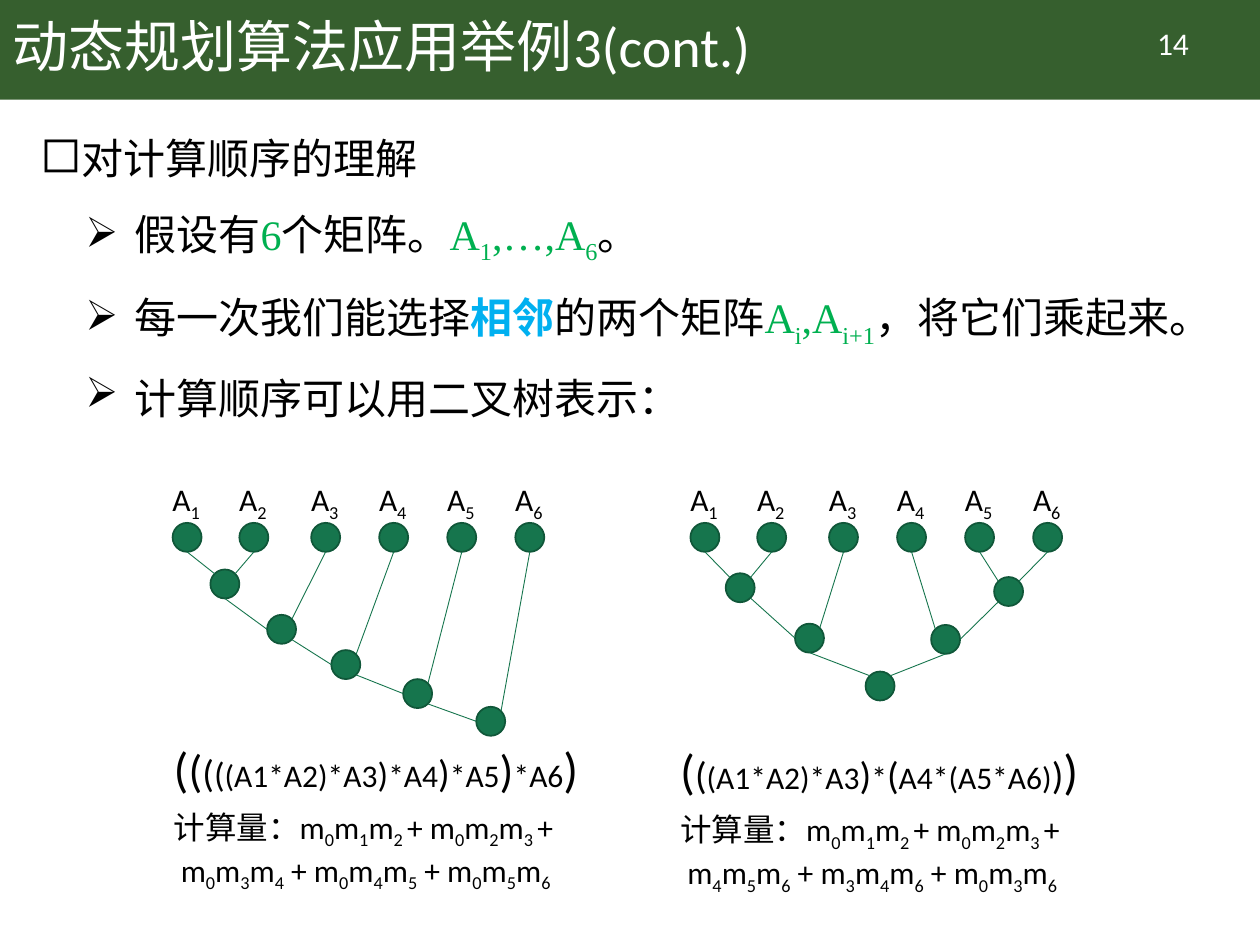
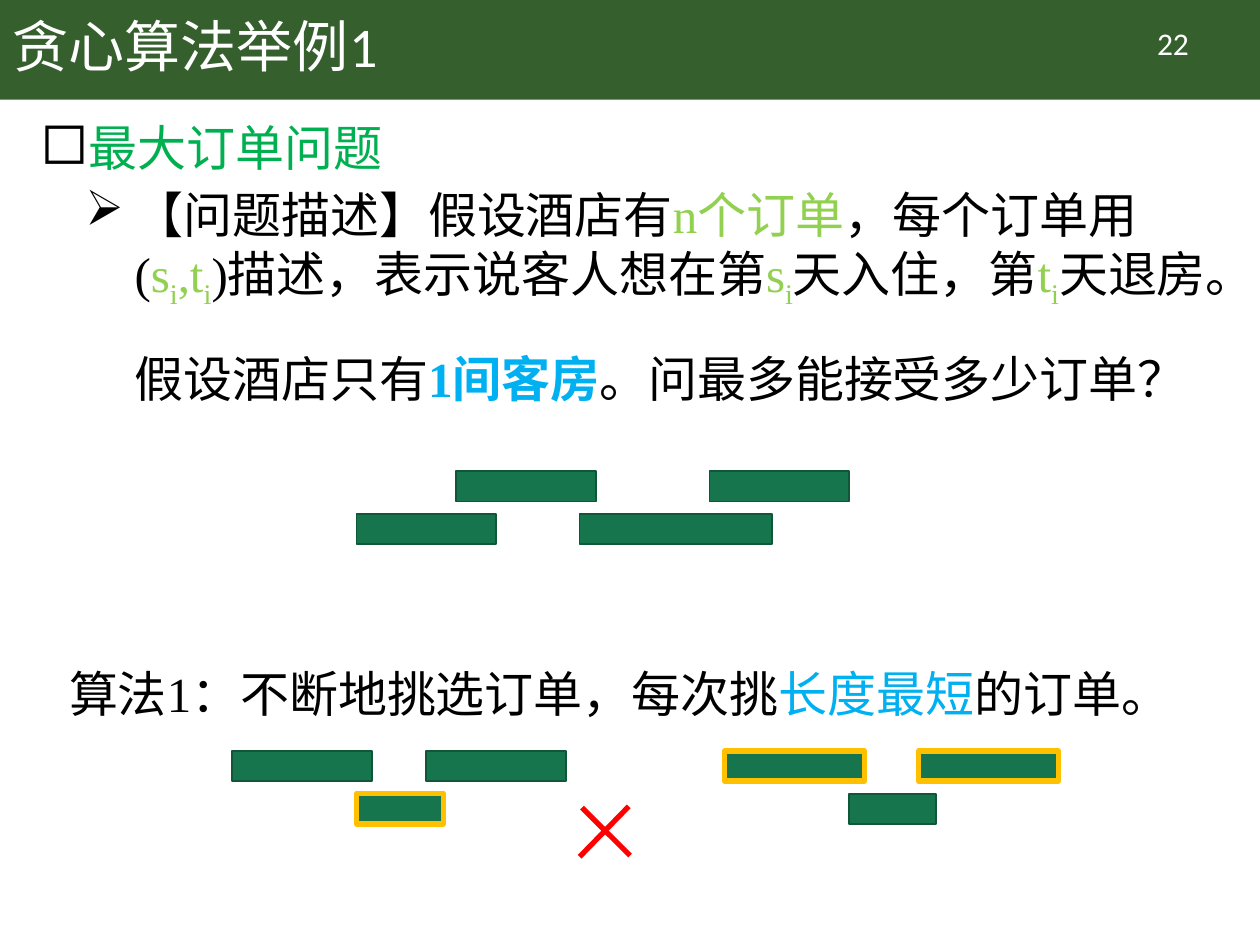
"""Build two lecture slides on matrix-chain order and the greedy booking problem."""
from lxml.etree import SubElement
from pptx import Presentation
from pptx.dml.color import RGBColor
from pptx.enum.shapes import MSO_CONNECTOR, MSO_SHAPE
from pptx.enum.text import MSO_ANCHOR, MSO_AUTO_SIZE, PP_ALIGN
from pptx.oxml.ns import qn
from pptx.util import Inches, Pt

BAND = RGBColor(0x36, 0x5F, 0x2E)
FILL = RGBColor(0x16, 0x75, 0x4D)
OUTLINE = RGBColor(0x10, 0x57, 0x39)
CHOSEN = RGBColor(0xFF, 0xC0, 0x00)
RED = RGBColor(0xFF, 0x00, 0x00)
BLACK = RGBColor(0x00, 0x00, 0x00)
WHITE = RGBColor(0xFF, 0xFF, 0xFF)
SYMBOL = {"color": RGBColor(0x00, 0xB0, 0x50)}
VARIABLE = {"color": RGBColor(0x92, 0xD0, 0x50)}
ACCENT = {"color": RGBColor(0x00, 0xB0, 0xF0)}
STRONG = {**ACCENT, "bold": True}

SANS = {"name": "Calibri", "size": Pt(18), "color": BLACK}
SERIF = {"name": "Times New Roman", "size": Pt(28), "color": BLACK}
TITLE = {"name": "Calibri", "size": Pt(32), "color": WHITE}

TOPIC = {"char": "◻", "margin": 0.25, "percent": 120}
POINT = {"char": "➢", "margin": 0.75, "percent": 100}
HANGING = -0.39

NODE = 0.23
LEAF_TOP = 4.15
LEAF_OFFSETS = (0, 0.53, 1.1, 1.64, 2.18, 2.72)
DIAGONAL = 0.71
SITES = {
    "B": (0, 1), "L": (-1, 0), "R": (1, 0),
    "TL": (-DIAGONAL, -DIAGONAL), "TR": (DIAGONAL, -DIAGONAL),
    "BL": (-DIAGONAL, DIAGONAL), "BR": (DIAGONAL, DIAGONAL),
}
BAR_HEIGHT = 0.24


class Deck:
    """Hold the shared style and the slide being drawn."""

    def __init__(self):
        self.presentation = Presentation()
        self.presentation.slide_width = Inches(10)
        self.presentation.slide_height = Inches(7.5)
        self.slide = None
        self.canvas = None

    def start_slide(self, heading, number):
        """Add a slide with its band, title and page number."""
        self.slide = self.presentation.slides.add_slide(self.presentation.slide_layouts[5])
        self.ungroup()
        title = self.slide.shapes.title
        band = self.shape(MSO_SHAPE.RECTANGLE, 0, 0, 10, 0.79, fill=BAND, line=None)
        title.element.addprevious(band.element)
        title.left, title.top, title.width, title.height = map(Inches, (0, 0, 8.62, 0.79))
        frame = title.text_frame
        frame.word_wrap = True
        frame.auto_size = MSO_AUTO_SIZE.NONE
        frame.vertical_anchor = MSO_ANCHOR.MIDDLE
        self.fill_paragraph(frame.paragraphs[0], [heading], TITLE,
                            alignment=PP_ALIGN.LEFT, line_spacing=0.9)
        page = [([str(number)], {"alignment": PP_ALIGN.CENTER})]
        self.text(8.71, 0.14, 1.2, 0.4, page, {**SANS, "color": WHITE})

    def group(self):
        """Draw the next elements into a new group."""
        self.canvas = self.slide.shapes.add_group_shape().shapes

    def ungroup(self):
        """Draw the next elements straight on the slide."""
        self.canvas = self.slide.shapes

    def shape(self, kind, left, top, width, height, fill=FILL, line=OUTLINE, weight=1):
        """Add a filled preset shape."""
        shape = self.canvas.add_shape(kind, *map(Inches, (left, top, width, height)))
        shape.shadow.inherit = False
        shape.fill.solid()
        shape.fill.fore_color.rgb = fill
        if line is None:
            shape.line.fill.background()
        else:
            shape.line.color.rgb = line
            shape.line.width = Pt(weight)
        return shape

    def bar(self, left, top, width, chosen=False):
        """Add a booking bar, framed when it is chosen."""
        frame = {"line": CHOSEN, "weight": 3} if chosen else {}
        self.shape(MSO_SHAPE.RECTANGLE, left, top, width, BAR_HEIGHT, **frame)

    def line(self, start, end, color=FILL, weight=0.5):
        """Add a straight line between two points."""
        line = self.canvas.add_connector(MSO_CONNECTOR.STRAIGHT, *map(Inches, (*start, *end)))
        line.line.color.rgb = color
        line.line.width = Pt(weight)
        SubElement(line.element.spPr, qn("a:effectLst"))

    def text(self, left, top, width, height, paragraphs, base):
        """Add a text box from (runs, paragraph format) pairs."""
        box = self.canvas.add_textbox(*map(Inches, (left, top, width, height)))
        frame = box.text_frame
        frame.word_wrap = True
        for index, (runs, layout) in enumerate(paragraphs):
            paragraph = frame.add_paragraph() if index else frame.paragraphs[0]
            self.fill_paragraph(paragraph, runs, base, **layout)

    def fill_paragraph(self, paragraph, runs, base, bullet=None, **layout):
        """Fill a paragraph; text between underscores is subscript."""
        if bullet:
            self.bullet(paragraph, **bullet)
        for key, value in layout.items():
            setattr(paragraph, key, value)
        for item in runs:
            if item == "\n":
                paragraph.add_line_break()
                continue
            content, style = (item, {}) if isinstance(item, str) else item
            for index, part in enumerate(content.split("_")):
                if part:
                    run = paragraph.add_run()
                    run.text = part
                    self.style_font(run.font, {**base, **style})
                    if index % 2:
                        run._r.get_or_add_rPr().set("baseline", "-25000")

    def style_font(self, font, values):
        """Apply a dict of font values."""
        for key, value in values.items():
            if key == "color":
                font.color.rgb = value
            else:
                setattr(font, key, value)

    def bullet(self, paragraph, char, margin, percent):
        """Give a paragraph a hanging bullet."""
        properties = paragraph._p.get_or_add_pPr()
        properties.set("marL", str(Inches(margin)))
        properties.set("indent", str(Inches(HANGING)))
        color = SubElement(properties, qn("a:buClr"))
        SubElement(color, qn("a:srgbClr"), val=str(BLACK))
        SubElement(properties, qn("a:buSzPct"), val=str(percent * 1000))
        SubElement(properties, qn("a:buChar"), char=char)

    def tree(self, left, joints, edges):
        """Draw six labelled leaves, the joints below them and the edges."""
        self.group()
        nodes = [(left + offset, LEAF_TOP) for offset in LEAF_OFFSETS]
        for number, (x, y) in enumerate(nodes, 1):
            self.text(x - 0.1, y - 0.39, 0.52, 0.4, [([f"A_{number}_"], {})], SANS)
        nodes += joints
        for x, y in nodes:
            self.shape(MSO_SHAPE.OVAL, x, y, NODE, NODE)
        for child, child_site, parent, parent_site in edges:
            self.line(site(nodes[child - 1], child_site), site(nodes[parent - 1], parent_site))
        self.ungroup()

    def cost(self, left, top, formula, last_line):
        """Put a bracketed product and its cost below a tree."""
        product = [(part, {"size": Pt(size)}) for part, size in formula]
        paragraphs = [
            (product, {}),
            (["计算量：m_0_m_1_m_2 _+ m_0_m_2_m_3 _+"], {"space_before": Pt(6)}),
            ([last_line], {}),
        ]
        self.text(left, top, 3.85, 1.26, paragraphs, SANS)


def site(node, name):
    """Return the point of a node's rim with the given name."""
    return tuple(start + NODE / 2 * (1 + step) for start, step in zip(node, SITES[name]))


def matrix_chain(deck):
    """Draw the slide on multiplication order."""
    deck.start_slide("动态规划算法应用举例3(cont.)", 14)
    point = {"bullet": POINT, "line_spacing": 1.3, "space_before": Pt(5)}
    understanding = [
        (["对计算顺序的理解"], {"bullet": TOPIC, "line_spacing": 1.3}),
        (["假设有", ("6", SYMBOL), "个矩阵。", ("A_1_,…,A_6_", SYMBOL), "。"], point),
        (["每一次我们能选择", ("相邻", STRONG), "的两个矩阵", ("A_i_,A_i+1_", SYMBOL),
          "，将它们乘起来。"], point),
        (["计算顺序可以用二叉树表示："], point),
    ]
    deck.text(0.22, 0.88, 9.57, 2.7, understanding, {**SERIF, "size": Pt(24)})

    deck.tree(
        1.37,
        [(1.67, 4.52), (2.12, 4.88), (2.63, 5.16), (3.2, 5.39), (3.78, 5.61)],
        [(1, "B", 7, "TL"), (2, "B", 7, "TR"), (7, "B", 8, "L"),
         *[(joint, "BR", joint + 1, "L") for joint in (8, 9, 10)],
         *[(leaf, "B", leaf + 5, "TR") for leaf in (3, 4, 5, 6)]],
    )
    deck.cost(
        1.28, 5.81,
        [("(", 28), ("(", 26), ("(", 22), ("(", 20), ("(A1*A2)*A3", 18), (")", 20),
         ("*A4", 18), (")", 22), ("*A5", 18), (")", 26), ("*A6", 18), (")", 28)],
        " m_0_m_3_m_4_ + m_0_m_4_m_5_ + m_0_m_5_m_6_",
    )
    deck.tree(
        5.48,
        [(5.76, 4.55), (6.31, 4.95), (7.89, 4.58), (7.39, 4.96), (6.87, 5.33)],
        [(1, "B", 7, "TL"), (2, "B", 7, "TR"), (3, "B", 8, "TR"), (7, "BR", 8, "L"),
         (6, "B", 9, "TR"), (5, "B", 9, "TL"), (4, "B", 10, "TL"), (10, "R", 9, "BL"),
         (8, "B", 11, "TL"), (11, "TR", 10, "B")],
    )
    deck.cost(
        5.3, 5.83,
        [("(", 28), ("(", 22), ("(A1*A2)*A3", 18), (")", 22), ("*", 18), ("(", 22),
         ("A4*(A5*A6)", 18), (")", 22), (")", 28)],
        " m_4_m_5_m_6_ + m_3_m_4_m_6_ + m_0_m_3_m_6_",
    )


def booking(deck):
    """Draw the slide on the largest set of bookings."""
    deck.start_slide("贪心算法举例1", 22)
    problem = [
        ([("最大订单问题", SYMBOL)], {"bullet": TOPIC}),
        (["【问题描述】假设酒店有", ("n个订单", VARIABLE), "，每个订单用(",
          ("s_i_,t_i_", VARIABLE), ")描述，表示说客人想在第", ("s_i_", VARIABLE), "天入住，第",
          ("t_i_", VARIABLE), "天退房。", "\n", "假设酒店只有", ("1间客房", STRONG),
          "。问最多能接受多少订单？"], {"bullet": POINT, "space_before": Pt(5)}),
    ]
    deck.text(0.22, 0.88, 9.57, 2.7, problem, SERIF)
    for left, top, width in ((3.62, 3.74, 1.11), (5.63, 3.74, 1.11),
                             (2.83, 4.08, 1.11), (4.6, 4.08, 1.53)):
        deck.bar(left, top, width)

    algorithm = ["算法1：不断地挑选订单，每次挑", ("长度最短", ACCENT), "的订单。"]
    deck.text(0.45, 5.22, 9.34, 0.6, [(algorithm, {})], SERIF)
    for left, short_chosen in ((1.84, True), (5.75, False)):
        deck.group()
        for offset in (0, 1.54):
            deck.bar(left + offset, 5.96, 1.11, chosen=not short_chosen)
        deck.bar(left + 0.99, 6.3, 0.69, chosen=short_chosen)
    deck.group()
    deck.line((4.62, 6.41), (5, 6.79), RED, 3)
    deck.line((4.6, 6.8), (4.99, 6.4), RED, 3)
    deck.ungroup()


def main():
    """Build and save both slides."""
    deck = Deck()
    matrix_chain(deck)
    booking(deck)
    deck.presentation.save("out.pptx")


if __name__ == "__main__":
    main()
